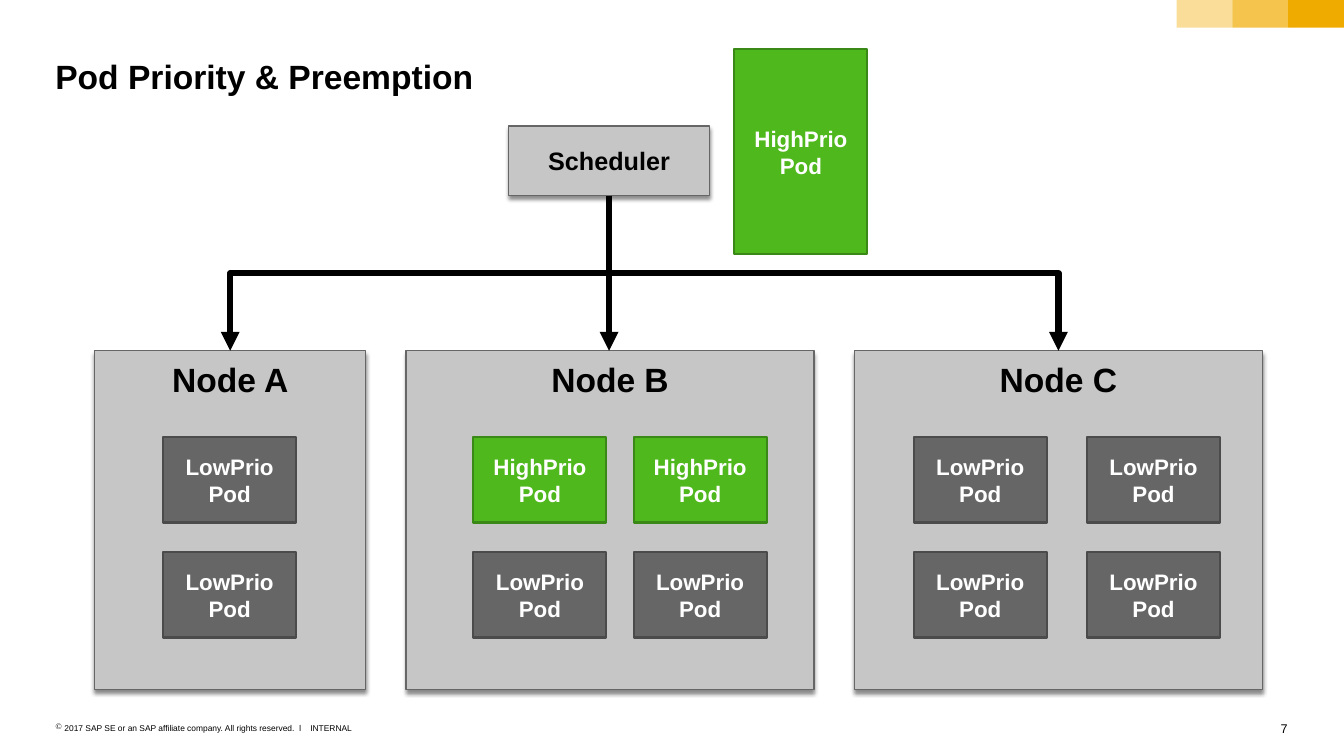
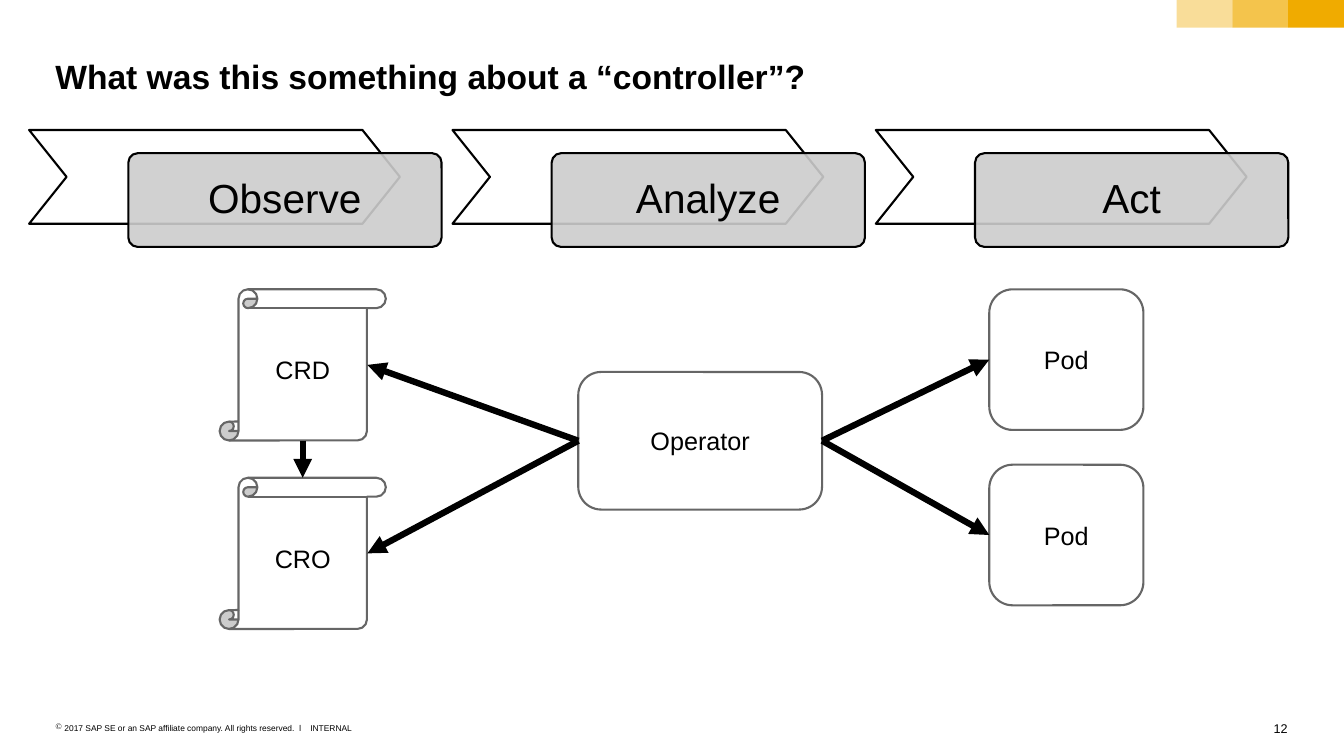
import dataclasses
import typing

import lxml.etree
import pptx
import pptx.dml.color
import pptx.enum.shapes
import pptx.enum.text
import pptx.oxml.ns
import pptx.shapes.autoshape
import pptx.shapes.connector
import pptx.slide
import pptx.text.text
import pptx.util

SHAPES = pptx.enum.shapes.MSO_SHAPE
LINKS = pptx.enum.shapes.MSO_CONNECTOR
ALIGN = pptx.enum.text.PP_ALIGN
ANCHOR = pptx.enum.text.MSO_ANCHOR
qn = pptx.oxml.ns.qn

WIDTH, HEIGHT = pptx.util.Inches(13.34), pptx.util.Inches(7.5)
FONT = "Arial"
COLORS = {
    "black": "000000", "white": "FFFFFF", "gold": "F0AB00",
    "node": "C6C6C6", "step": "CCCCCC",
    "low": "666666", "low edge": "4B4B4B",
    "high": "4FB81C", "high edge": "3A8815",
}
PADDING = (0.1, 0.08)  # inches, sideways and upright


# Geometry: every length is a percentage of the slide's width or height
class Point(typing.NamedTuple):
    x: float
    y: float


class Box(typing.NamedTuple):
    left: float
    top: float
    width: float
    height: float

    @property
    def center(self) -> Point:
        return Point(self.left + self.width / 2, self.top + self.height / 2)

    @property
    def right(self) -> float:
        return self.left + self.width

    @property
    def bottom(self) -> float:
        return self.top + self.height


def across(share: float) -> int:
    return round(WIDTH * share / 100)


def down(share: float) -> int:
    return round(HEIGHT * share / 100)


def place(box: Box) -> tuple[int, int, int, int]:
    return across(box.left), down(box.top), across(box.width), down(box.height)


# Repeated elements
@dataclasses.dataclass(frozen=True)
class Style:
    fill: str
    edge: str | None = None
    edge_width: float = 1.5
    opacity: int = 100
    shadow: bool = False


@dataclasses.dataclass(frozen=True)
class Node:
    name: str
    left: float
    width: float
    pod_left: float
    pod_step: float
    pod_rows: tuple[tuple[str, ...], ...]


PANEL = Style("node", "low", 0.79, shadow=True)
POD_STYLES = {"LowPrio Pod": Style("low", "low edge"),
              "HighPrio Pod": Style("high", "high edge")}
OUTLINED = Style("white", "low")
CHEVRON = Style("white", "black")
STEP = Style("step", "black", opacity=90)

LOW, HIGH = POD_STYLES
NODE_TOP, NODE_HEIGHT = 46.4, 44.8
POD_WIDTH, POD_HEIGHT = 9.9, 11.33
POD_TOP, POD_ROW_STEP = 57.8, 15.2
NODES = (
    Node("Node A", 7.05, 20.16, 12.14, 0, ((LOW,), (LOW,))),
    Node("Node B", 30.21, 30.36, 35.23, 11.92, ((HIGH, HIGH), (LOW, LOW))),
    Node("Node C", 63.57, 30.36, 67.99, 12.89, ((LOW, LOW), (LOW, LOW))),
)
STEP_PITCH = 31.5
SCROLL_CURL = 1.37  # part of a scroll's width right of its sheet


# Drawing functions
def rgb(name: str) -> pptx.dml.color.RGBColor:
    return pptx.dml.color.RGBColor.from_string(COLORS[name])


def write_text(frame: pptx.text.text.TextFrame, text: str, *, size: float = 18,
               bold: bool = False, color: str = "black",
               align: ALIGN = ALIGN.CENTER, anchor: ANCHOR = ANCHOR.MIDDLE,
               padding: tuple[float, float] = PADDING, spacing: float = 1.0,
               bullet: str | None = None) -> None:
    frame.word_wrap = True
    frame.vertical_anchor = anchor
    frame.margin_left = frame.margin_right = pptx.util.Inches(padding[0])
    frame.margin_top = frame.margin_bottom = pptx.util.Inches(padding[1])
    paragraph = frame.paragraphs[0]
    paragraph.alignment = align
    paragraph.line_spacing = spacing
    paragraph.space_before = pptx.util.Pt(0)
    if bullet:
        properties = paragraph._p.get_or_add_pPr()
        indent = pptx.util.Inches(0.09)
        properties.set("marL", str(indent))
        properties.set("indent", str(-indent))
        lxml.etree.SubElement(properties, qn("a:buChar"), char=bullet)
    run = paragraph.add_run()
    run.text = text
    run.font.name = FONT
    run.font.size = pptx.util.Pt(size)
    run.font.bold = bold
    run.font.color.rgb = rgb(color)


def add_box(slide: pptx.slide.Slide, kind: SHAPES, box: Box, style: Style,
            text: str = "", corner: float | None = None,
            **text_format: typing.Any) -> pptx.shapes.autoshape.Shape:
    shape = slide.shapes.add_shape(kind, *place(box))
    shape.shadow.inherit = False
    if corner is not None:
        shape.adjustments[0] = corner
    shape.fill.solid()
    shape.fill.fore_color.rgb = rgb(style.fill)
    properties = shape._element.spPr
    if style.opacity < 100:
        fill_color = properties.find(qn("a:solidFill")).find(qn("a:srgbClr"))
        lxml.etree.SubElement(fill_color, qn("a:alpha"),
                              val=str(style.opacity * 1000))
    if style.edge:
        shape.line.color.rgb = rgb(style.edge)
        shape.line.width = pptx.util.Pt(style.edge_width)
    else:
        shape.line.fill.background()
    if style.shadow:
        shadow = lxml.etree.SubElement(
            properties.find(qn("a:effectLst")), qn("a:outerShdw"),
            blurRad=str(pptx.util.Pt(3)), dist=str(pptx.util.Pt(2.4)),
            dir="5400000", algn="t", rotWithShape="0")
        shade = lxml.etree.SubElement(shadow, qn("a:srgbClr"),
                                      val=COLORS["black"])
        lxml.etree.SubElement(shade, qn("a:alpha"), val="45000")
    if text:
        write_text(shape.text_frame, text, **text_format)
    return shape


def add_label(slide: pptx.slide.Slide, box: Box, text: str,
              **text_format: typing.Any) -> pptx.shapes.autoshape.Shape:
    label = slide.shapes.add_textbox(*place(box))
    write_text(label.text_frame, text, anchor=ANCHOR.TOP, padding=(0, 0),
               **text_format)
    return label


def finish_arrow(arrow: pptx.shapes.connector.Connector) -> None:
    arrow.line.color.rgb = rgb("black")
    arrow.line.width = pptx.util.Pt(4.5)
    properties = arrow._element.spPr
    lxml.etree.SubElement(properties.find(qn("a:ln")), qn("a:tailEnd"),
                          type="triangle")
    lxml.etree.SubElement(properties, qn("a:effectLst"))


def add_arrow(slide: pptx.slide.Slide, start: Point, end: Point) -> None:
    finish_arrow(slide.shapes.add_connector(
        LINKS.STRAIGHT, across(start.x), down(start.y),
        across(end.x), down(end.y)))


def add_branch(slide: pptx.slide.Slide, start: Point, end: Point) -> None:
    """Elbow arrow that leaves and arrives vertically."""
    run, drop = across(end.x - start.x), down(end.y - start.y)
    left = across((start.x + end.x) / 2) - drop // 2
    top = down((start.y + end.y) / 2) - abs(run) // 2
    branch = slide.shapes.add_connector(
        LINKS.ELBOW, left, top, left + drop, top + abs(run))
    frame = branch._element.spPr.find(qn("a:xfrm"))
    frame.set("rot", "5400000" if run < 0 else "16200000")
    if run > 0:
        frame.set("flipH", "1")
    finish_arrow(branch)


# Shared parts
def fill_layout(slide: pptx.slide.Slide) -> None:
    """Draw the bands and footer, then hand them to the slide's layout."""
    shared = [
        add_box(slide, SHAPES.RECTANGLE, Box(87.55 + 4.15 * i, 0, 4.15, 3.67),
                Style("gold", opacity=opacity))
        for i, opacity in enumerate((40, 70, 100))
    ]
    shared.append(add_label(
        slide, Box(4.12, 95.6, 18.59, 1.33),
        "2017 SAP SE or an SAP affiliate company. All rights reserved.  ǀ",
        size=6, align=ALIGN.LEFT, bullet="©"))
    shared.append(add_label(slide, Box(23.09, 95.6, 4, 1.33), "INTERNAL",
                            size=6, align=ALIGN.LEFT))
    for part in shared:
        slide.slide_layout.shapes._spTree.append(part._element)


def add_slide(deck: typing.Any, title: str, number: int) -> pptx.slide.Slide:
    slide = deck.slides.add_slide(deck.slide_layouts[5])
    heading = slide.shapes.title
    heading.left, heading.top, heading.width, heading.height = place(
        Box(4.12, 7.33, 91.68, 5.33))
    write_text(heading.text_frame, title, size=24, bold=True,
               align=ALIGN.LEFT, anchor=ANCHOR.TOP, padding=(0, 0))
    add_label(slide, Box(92.8, 95.33, 3, 2), str(number), size=9,
              align=ALIGN.RIGHT)
    return slide


# Slide contents
def add_pod(slide: pptx.slide.Slide, name: str, left: float, top: float,
            height: float = POD_HEIGHT) -> None:
    add_box(slide, SHAPES.RECTANGLE, Box(left, top, POD_WIDTH, height),
            POD_STYLES[name], name, size=16, bold=True, color="white")


def draw_scheduling(slide: pptx.slide.Slide) -> None:
    scheduler = Box(37.86, 16.67, 14.92, 9.2)
    add_box(slide, SHAPES.RECTANGLE, scheduler, PANEL, "Scheduler", bold=True)
    source = Point(scheduler.center.x, scheduler.bottom)
    for node in NODES:
        panel = Box(node.left, NODE_TOP, node.width, NODE_HEIGHT)
        add_box(slide, SHAPES.RECTANGLE, panel, PANEL, node.name, size=24,
                bold=True, anchor=ANCHOR.TOP)
        if abs(panel.center.x - source.x) < 1:
            add_arrow(slide, source, Point(source.x, panel.top))
        else:
            add_branch(slide, source, Point(panel.center.x, panel.top))
        for row, names in enumerate(node.pod_rows):
            for column, name in enumerate(names):
                add_pod(slide, name, node.pod_left + column * node.pod_step,
                        POD_TOP + row * POD_ROW_STEP)
    add_pod(slide, HIGH, 54.65, 6.53, 27.07)


def draw_controller(slide: pptx.slide.Slide) -> None:
    # Process steps
    for i, step in enumerate(("Observe", "Analyze", "Act")):
        shift = i * STEP_PITCH
        add_box(slide, SHAPES.CHEVRON, Box(2.17 + shift, 17.2, 27.59, 12.4),
                CHEVRON, corner=0.4)
        add_box(slide, SHAPES.ROUNDED_RECTANGLE,
                Box(9.55 + shift, 20.27, 23.31, 12.4), STEP, step,
                corner=0.1, size=29, padding=(0.23, 0.23), spacing=0.9)

    # Operator with its resources and pods
    operator = Box(43.03, 49.2, 18.14, 18.2)
    add_box(slide, SHAPES.FLOWCHART_ALTERNATE_PROCESS, operator, OUTLINED,
            "Operator")
    definition, custom_object = (Box(16.34, top, 12.37, 20)
                                 for top in (38.27, 63.2))
    for name, scroll in (("CRD", definition), ("CRO", custom_object)):
        add_box(slide, SHAPES.VERTICAL_SCROLL, scroll, OUTLINED, name)
        add_arrow(slide, Point(operator.left, operator.center.y),
                  Point(scroll.right - SCROLL_CURL, scroll.center.y))
    add_arrow(slide, Point(definition.center.x, definition.bottom),
              Point(custom_object.center.x, custom_object.top))
    for top in (38.27, 61.47):
        pod = Box(73.61, top, 11.47, 18.6)
        add_box(slide, SHAPES.FLOWCHART_ALTERNATE_PROCESS, pod, OUTLINED, "Pod")
        add_arrow(slide, Point(operator.right, operator.center.y),
                  Point(pod.left, pod.center.y))


def main() -> None:
    deck = pptx.Presentation()
    deck.slide_width, deck.slide_height = WIDTH, HEIGHT
    scheduling = add_slide(deck, "Pod Priority & Preemption", 7)
    fill_layout(scheduling)
    draw_scheduling(scheduling)
    draw_controller(add_slide(
        deck, "What was this something about a “controller”?", 12))
    deck.save("out.pptx")


if __name__ == "__main__":
    main()
